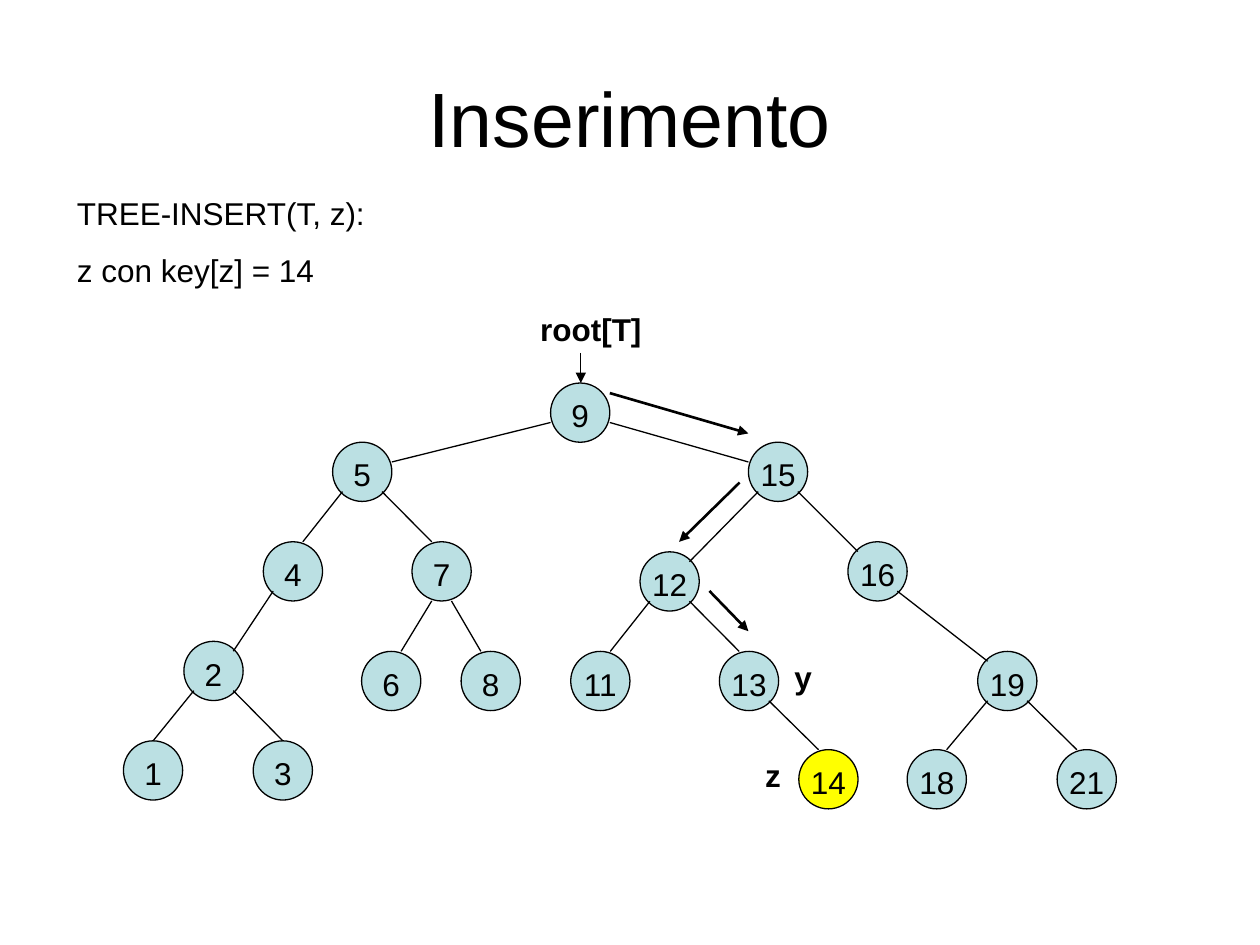
from lxml import etree
from pptx import Presentation
from pptx.dml.color import RGBColor
from pptx.enum.shapes import MSO_CONNECTOR, MSO_SHAPE
from pptx.enum.text import MSO_ANCHOR, MSO_AUTO_SIZE, PP_ALIGN
from pptx.oxml.ns import qn
from pptx.util import Inches, Pt

BLACK = RGBColor(0x00, 0x00, 0x00)
TEAL = RGBColor(0xBB, 0xE0, 0xE3)
YELLOW = RGBColor(0xFF, 0xFF, 0x00)
STRAIGHT = MSO_CONNECTOR.STRAIGHT
OVAL = MSO_SHAPE.OVAL
CENTER, LEFT = PP_ALIGN.CENTER, PP_ALIGN.LEFT
MIDDLE, TOP = MSO_ANCHOR.MIDDLE, MSO_ANCHOR.TOP
NO_FIT = MSO_AUTO_SIZE.NONE

DIAMETER = 0.47
STEP = DIAMETER / 6

NODES = {
    9: (4.37, 3.04),
    5: (2.64, 3.51), 15: (5.94, 3.51),
    4: (2.09, 4.30), 7: (3.27, 4.30), 12: (5.08, 4.38), 16: (6.73, 4.30),
    2: (1.46, 5.09), 6: (2.87, 5.17), 8: (3.66, 5.17),
    11: (4.53, 5.17), 13: (5.71, 5.17), 19: (7.76, 5.17),
    1: (0.98, 5.88), 3: (2.01, 5.88),
    14: (6.34, 5.95), 18: (7.20, 5.95), 21: (8.39, 5.95),
}
NEW_KEY = 14

EDGES = [
    (9, (-3, 1), 5, (3, -1)), (9, (3, 1), 15, (-3, -1)),
    (5, (-2, 2), 4, (1, -3)), (5, (2, 2), 7, (-1, -3)),
    (15, (-2, 2), 12, (2, -2)), (15, (2, 2), 16, (-2, -2)),
    (4, (-2, 2), 2, (2, -2)),
    (7, (-1, 3), 6, (1, -3)), (7, (1, 3), 8, (-1, -3)),
    (12, (-2, 2), 11, (1, -3)), (12, (2, 2), 13, (-1, -3)),
    (16, (2, 2), 19, (-2, -2)),
    (2, (-2, 2), 1, (0, -3)), (2, (2, 2), 3, (0, -3)),
    (13, (2, 2), 14, (-1, -3)),
    (19, (-2, 2), 18, (1, -3)), (19, (2, 2), 21, (-1, -3)),
]

SEARCH_ARROWS = [
    ((4.84, 3.12), (5.94, 3.44)),
    ((5.87, 3.83), (5.39, 4.30)),
    ((5.63, 4.69), (5.94, 5.01)),
]

LABELS = [
    ("root[T]", (4.06, 2.41, 1.26, 0.40)),
    ("y", (6.18, 5.17, 0.39, 0.40)),
    ("z", (5.94, 5.95, 0.39, 0.40)),
]


def anchor(key, offset):
    return tuple(edge + DIAMETER / 2 + steps * STEP
                 for edge, steps in zip(NODES[key], offset))


class TreeSlide:
    font = "Arial"
    size = 18
    color = BLACK

    def __init__(self, slide):
        self.slide = slide

    def format(self, p, align, size=size, bold=False):
        p.alignment = align
        for r in p.runs:
            r.font.name = self.font
            r.font.size = Pt(size)
            r.font.bold = bold
            r.font.color.rgb = self.color

    def place(self, sp, box):
        sp.left, sp.top, sp.width, sp.height = map(Inches, box)

    def title(self, text, box):
        sp = self.slide.shapes.title
        self.place(sp, box)
        tf = sp.text_frame
        tf.text = text
        tf.auto_size = NO_FIT
        tf.vertical_anchor = MIDDLE
        self.format(tf.paragraphs[0], CENTER, 44)

    def body(self, lines, box):
        sp = self.slide.placeholders[1]
        self.place(sp, box)
        tf = sp.text_frame
        tf.text = "\n".join(text for text, _, _ in lines)
        tf.auto_size = NO_FIT
        tf.vertical_anchor = TOP
        for p, (_, spacing, before) in zip(tf.paragraphs, lines):
            p.line_spacing = spacing
            p.space_before = Pt(before)
            self.format(p, LEFT)
            pPr = p._p.get_or_add_pPr()
            pPr.set("marL", "0")
            pPr.set("indent", "0")
            etree.SubElement(pPr, qn("a:buNone"))

    def label(self, text, box):
        sp = self.slide.shapes.add_textbox(*map(Inches, box))
        tf = sp.text_frame
        tf.word_wrap = True
        tf.text = text
        self.format(tf.paragraphs[0], CENTER, bold=True)

    def node(self, key, corner, fill):
        sp = self.slide.shapes.add_shape(
            OVAL, *map(Inches, (*corner, DIAMETER, DIAMETER)))
        sp.shadow.inherit = False
        sp.fill.solid()
        sp.fill.fore_color.rgb = fill
        sp.line.color.rgb = self.color
        sp.line.width = Pt(0.75)
        tf = sp.text_frame
        tf.margin_left = tf.margin_right = tf.margin_bottom = 0
        tf.margin_top = Inches(0.04)
        tf.word_wrap = False
        tf.vertical_anchor = MIDDLE
        tf.text = str(key)
        self.format(tf.paragraphs[0], CENTER)

    def line(self, start, end, width=0.75, arrow=False):
        cx = self.slide.shapes.add_connector(
            STRAIGHT, *map(Inches, (*start, *end)))
        cx.line.color.rgb = self.color
        cx.line.width = Pt(width)
        if arrow:
            etree.SubElement(cx.line._get_or_add_ln(), qn("a:tailEnd"),
                             type="triangle")
        etree.SubElement(cx._element.spPr, qn("a:effectLst"))


def main():
    prs = Presentation()
    prs.slide_width, prs.slide_height = Inches(10), Inches(7.5)
    s = TreeSlide(prs.slides.add_slide(prs.slide_layouts[1]))
    s.title("Inserimento", (0.5, 0.3, 9, 1.25))
    s.body([("TREE-INSERT(T, z):", 0.8, 4.5), ("z con key[z] = 14", 1, 11.2)],
           (0.51, 1.55, 2.91, 0.8))
    for key, corner in NODES.items():
        s.node(key, corner, YELLOW if key == NEW_KEY else TEAL)
    for parent, exit_offset, child, entry_offset in EDGES:
        s.line(anchor(parent, exit_offset), anchor(child, entry_offset))
    s.line((4.61, 2.8), (4.61, 3.04), arrow=True)
    for start, end in SEARCH_ARROWS:
        s.line(start, end, 1.5, arrow=True)
    for text, box in LABELS:
        s.label(text, box)
    prs.save("out.pptx")


if __name__ == "__main__":
    main()
